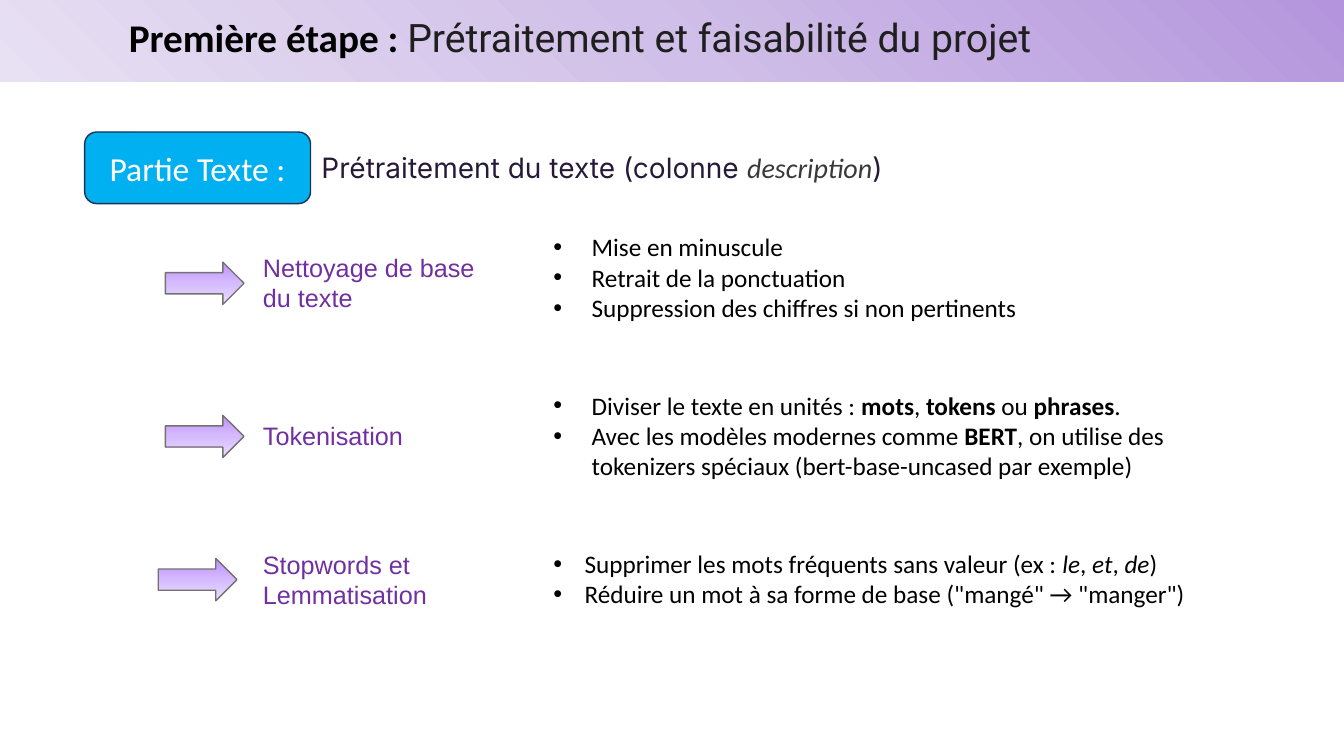
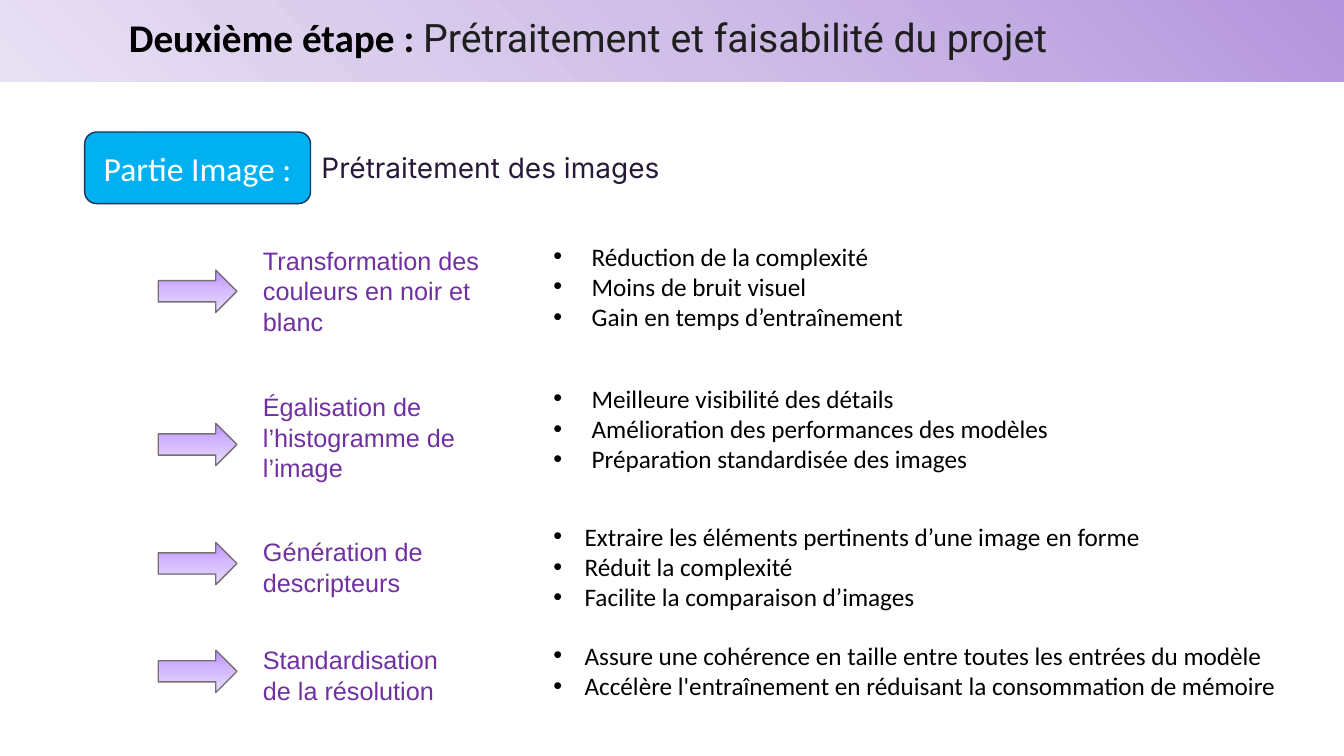
"""Build two slides on text and image preprocessing."""
from copy import deepcopy

from lxml import etree
from pptx import Presentation
from pptx.dml.color import RGBColor
from pptx.enum.shapes import MSO_SHAPE
from pptx.enum.text import MSO_ANCHOR, MSO_AUTO_SIZE, PP_ALIGN
from pptx.oxml.ns import qn
from pptx.util import Inches, Pt

RECT = MSO_SHAPE.RECTANGLE
ROUNDED = MSO_SHAPE.ROUNDED_RECTANGLE
ARROW = MSO_SHAPE.RIGHT_ARROW
MIDDLE = MSO_ANCHOR.MIDDLE
TOP = MSO_ANCHOR.TOP
GROW = MSO_AUTO_SIZE.SHAPE_TO_FIT_TEXT
CENTER = PP_ALIGN.CENTER

BLACK = RGBColor(0x00, 0x00, 0x00)
WHITE = RGBColor(0xFF, 0xFF, 0xFF)
TITLE_GREY = RGBColor(0x1F, 0x1F, 0x1F)
SUBTITLE_INK = RGBColor(0x27, 0x1A, 0x38)
TERM_GREY = RGBColor(0x3B, 0x38, 0x38)
LABEL_PURPLE = RGBColor(0x70, 0x30, 0xA0)
TAG_BLUE = RGBColor(0x00, 0xB0, 0xF0)
TAG_EDGE = RGBColor(0x1E, 0x32, 0x56)
ARROW_EDGE = RGBColor(0x76, 0x71, 0x71)
BAND_STOPS = (RGBColor(0xB4, 0x95, 0xDD), RGBColor(0xD0, 0xBF, 0xE8), RGBColor(0xE8, 0xE0, 0xF3))
ARROW_STOPS = (RGBColor(0xBD, 0x90, 0xFF), RGBColor(0xD5, 0xBB, 0xFE), RGBColor(0xEA, 0xDE, 0xFE))

BODY = "Calibri"
LABEL = "Arial"
SUBTITLE = "Inter"
TITLE = "Roboto"


class Deck:
    """Hold the shared style and the current slide."""

    def __init__(self):
        self.prs = Presentation()
        self.prs.slide_width = Inches(13.33)
        self.prs.slide_height = Inches(7.5)
        self.s = None

    def new_slide(self, step, tag, subtitle):
        self.s = self.prs.slides.add_slide(self.prs.slide_layouts[6])
        band = self.shape(RECT, 0, 0, 13.33, 0.81)
        self.gradient(band, BAND_STOPS, 225)
        p = self.textbox(1.18, 0.08, 11, 0.57).paragraphs[0]
        self.run(p, step, BODY, 28, BLACK, "b")
        self.run(p, "Prétraitement et faisabilité du projet", TITLE, 28, TITLE_GREY)
        self.tag(tag)
        p = self.textbox(3.09, 1.44, 10.2, 0.44).paragraphs[0]
        for text, style in subtitle:
            font, color = (BODY, TERM_GREY) if style else (SUBTITLE, SUBTITLE_INK)
            self.run(p, text, font, 20, color, style)

    def shape(self, kind, x, y, w, h, edge=None):
        sp = self.s.shapes.add_shape(kind, Inches(x), Inches(y), Inches(w), Inches(h))
        sp.shadow.inherit = False
        if edge is None:
            sp.line.fill.background()
        else:
            sp.line.color.rgb = edge
            sp.line.width = Pt(1)
        return sp

    def gradient(self, sp, colors, angle):
        sp.fill.gradient()
        stops = sp._element.spPr.find(".//" + qn("a:gsLst"))
        stops.append(deepcopy(stops[0]))
        for i, (stop, color) in enumerate(zip(sp.fill.gradient_stops, colors)):
            stop.position = i / 2
            stop.color.rgb = color
        sp.fill.gradient_angle = angle

    def textbox(self, x, y, w, h, anchor=TOP):
        tf = self.s.shapes.add_textbox(Inches(x), Inches(y), Inches(w), Inches(h)).text_frame
        tf.word_wrap = True
        tf.auto_size = GROW
        tf.vertical_anchor = anchor
        return tf

    def run(self, p, text, font, size, color, style=""):
        r = p.add_run()
        r.text = text
        r.font.name = font
        r.font.size = Pt(size)
        r.font.color.rgb = color
        r.font.bold = style == "b"
        r.font.italic = style == "i"

    def tag(self, text):
        sp = self.shape(ROUNDED, 0.84, 1.31, 2.24, 0.71, TAG_EDGE)
        sp.fill.solid()
        sp.fill.fore_color.rgb = TAG_BLUE
        sp.text_frame.vertical_anchor = MIDDLE
        p = sp.text_frame.paragraphs[0]
        p.alignment = CENTER
        self.run(p, text, BODY, 24, WHITE)

    def arrow(self, x, y):
        sp = self.shape(ARROW, x, y, 0.78, 0.42, ARROW_EDGE)
        self.gradient(sp, ARROW_STOPS, 270)

    def label(self, text, y, w, h):
        p = self.textbox(2.51, y, w, h, MIDDLE).paragraphs[0]
        self.run(p, text, LABEL, 18, LABEL_PURPLE)

    def bullets(self, items, y, w, h, indent):
        tf = self.textbox(5.39, y, w, h)
        for i, item in enumerate(items):
            p = tf.add_paragraph() if i else tf.paragraphs[0]
            pPr = p._p.get_or_add_pPr()
            pPr.set("marL", str(Inches(indent)))
            pPr.set("indent", str(-Inches(indent)))
            etree.SubElement(pPr, qn("a:buFont")).set("typeface", "Arial")
            etree.SubElement(pPr, qn("a:buChar")).set("char", "•")
            runs = [(item, "")] if isinstance(item, str) else item
            for text, style in runs:
                self.run(p, text, BODY, 18, BLACK, style)

    def step(self, arrow, label, label_box, items, list_box):
        self.arrow(*arrow)
        self.label(label, *label_box)
        self.bullets(items, *list_box)


def main():
    deck = Deck()

    deck.new_slide("Première étape : ", "Partie Texte :", [
        ("Prétraitement du texte (colonne ", ""), ("description", "i"), (")", "")])
    deck.step((1.64, 2.6), "Nettoyage de base du texte", (2.45, 2.64, 0.71), [
        "Mise en minuscule",
        "Retrait de la ponctuation",
        "Suppression des chiffres si non pertinents",
    ], (2.25, 6.7, 1.01, 0.38))
    deck.step((1.64, 4.12), "Tokenisation", (4.12, 2.64, 0.4), [
        [("Diviser le texte en unités : ", ""), ("mots", "b"), (", ", ""), ("tokens", "b"),
         (" ou ", ""), ("phrases", "b"), (".", "")],
        [("Avec les modèles modernes comme ", ""), ("BERT", "b"),
         (", on utilise des tokenizers spéciaux (bert-base-uncased par exemple)", "")],
    ], (3.82, 6.7, 1.01, 0.38))
    deck.step((1.57, 5.54), "Stopwords et Lemmatisation", (5.39, 2.06, 0.71), [
        [("Supprimer les mots fréquents sans valeur (ex : ", ""), ("le", "i"), (", ", ""),
         ("et", "i"), (", ", ""), ("de", "i"), (")", "")],
        "Réduire un mot à sa forme de base (\"mangé\" → \"manger\")",
    ], (5.39, 6.7, 0.71, 0.31))

    deck.new_slide("Deuxième étape : ", "Partie Image :", [("Prétraitement des images", "")])
    deck.step((1.57, 2.68), "Transformation des couleurs en noir et blanc", (2.38, 2.64, 1.01), [
        "Réduction de la complexité",
        "Moins de bruit visuel",
        "Gain en temps d’entraînement",
    ], (2.34, 6.7, 1.01, 0.38))
    deck.step((1.57, 4.2), "Égalisation de l’histogramme de l’image", (3.83, 2.64, 1.01), [
        "Meilleure visibilité des détails",
        "Amélioration des performances des modèles",
        "Préparation standardisée des images",
    ], (3.75, 6.7, 1.01, 0.38))
    deck.step((1.57, 5.38), "Génération de descripteurs", (5.27, 2.06, 0.71), [
        "Extraire les éléments pertinents d’une image en forme",
        "Réduit la complexité",
        "Facilite la comparaison d’images",
    ], (5.12, 6.7, 1.01, 0.31))
    deck.step((1.57, 6.45), "Standardisation de la résolution", (6.34, 2.06, 0.71), [
        "Assure une cohérence en taille entre toutes les entrées du modèle",
        "Accélère l'entraînement en réduisant la consommation de mémoire",
    ], (6.3, 7.64, 0.71, 0.31))

    deck.prs.save("out.pptx")


if __name__ == "__main__":
    main()
